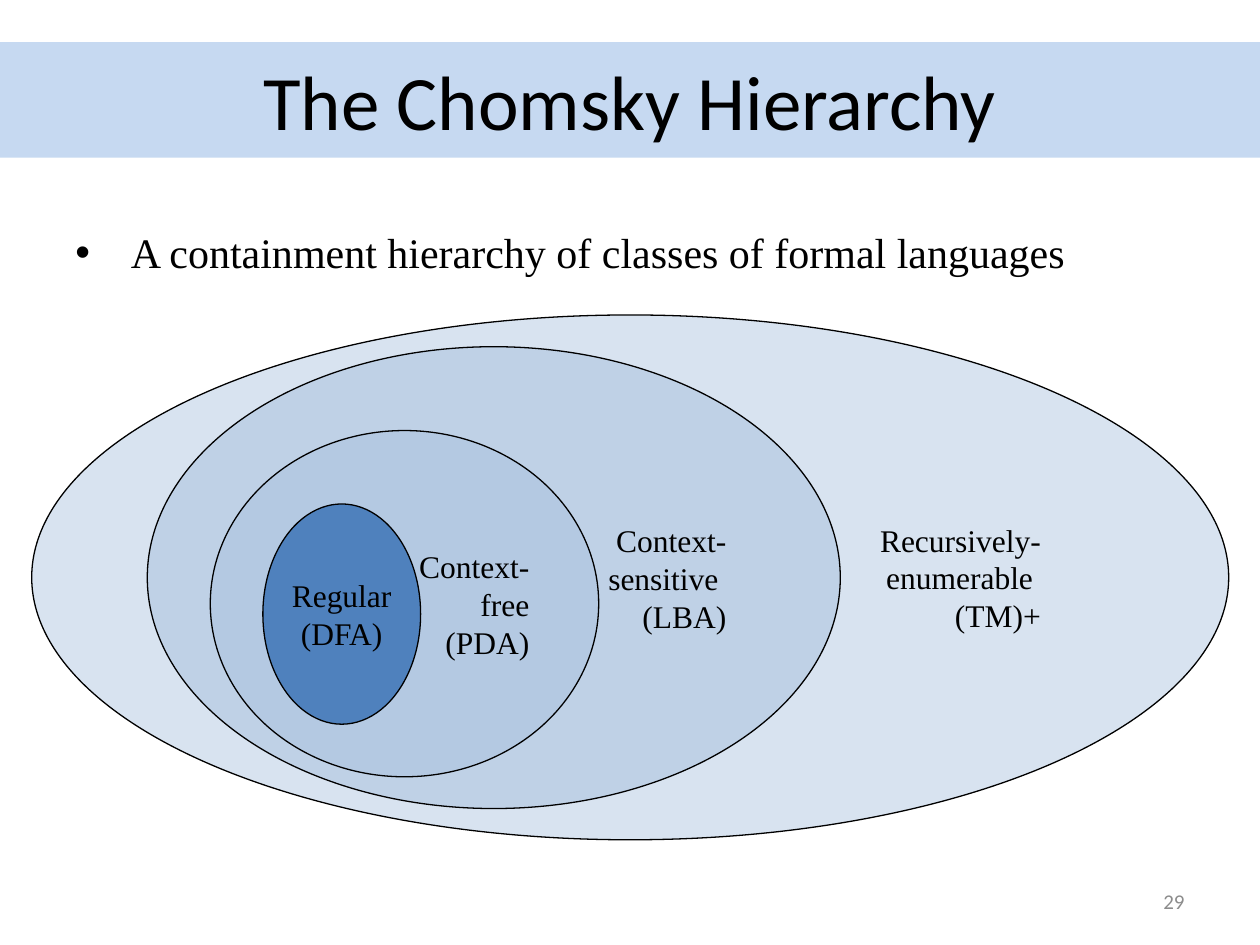
from lxml import etree
from pptx import Presentation
from pptx.dml.color import RGBColor
from pptx.enum.shapes import MSO_SHAPE
from pptx.enum.text import MSO_ANCHOR, PP_ALIGN
from pptx.oxml.ns import qn
from pptx.util import Cm, Pt

OVAL = MSO_SHAPE.OVAL
MIDDLE, TOP = MSO_ANCHOR.MIDDLE, MSO_ANCHOR.TOP
LEFT, CENTER, RIGHT = PP_ALIGN.LEFT, PP_ALIGN.CENTER, PP_ALIGN.RIGHT
SERIF, SANS = "Times New Roman", "Calibri"


def rgb(color):
    return RGBColor.from_string(color)


def fill_solid(sp, color, opacity=100):
    sp.fill.solid()
    sp.fill.fore_color.rgb = rgb(color)
    if opacity < 100:
        clr = sp.fill._xPr.find(qn("a:solidFill"))[0]
        etree.SubElement(clr, qn("a:alpha"), val=str(opacity * 1000))


def write(sp, text, size, font, align, anchor=MIDDLE, color="000000", wrap=True):
    tf = sp.text_frame
    tf.text = text
    tf.word_wrap = wrap
    tf.vertical_anchor = anchor
    for p in tf.paragraphs:
        p.alignment = align
        for r in p.runs:
            r.font.size = Pt(size)
            r.font.name = font
            r.font.color.rgb = rgb(color)
    return tf


def add_title(s, box, text):
    sp = s.shapes.title
    sp.left, sp.top, sp.width, sp.height = (Cm(v) for v in box)
    fill_solid(sp, "C6D9F1")
    write(sp, text, 44, SANS, CENTER)


def add_bullet(s, box, text):
    sp = s.shapes.add_textbox(*(Cm(v) for v in box))
    p = write(sp, text, 24, SERIF, LEFT, TOP).paragraphs[0]
    p.space_before = Pt(4.8)
    pPr = p._p.get_or_add_pPr()
    pPr.set("marL", str(Cm(1.12)))
    pPr.set("indent", str(-Cm(1.12)))
    etree.SubElement(pPr, qn("a:buFont"), typeface="Arial")
    etree.SubElement(pPr, qn("a:buChar"), char="•")


def add_hierarchy(s, box, classes):
    """Nested ellipses, outermost first, offset from the corner of the box."""
    left, top = box
    for dx, dy, width, height, opacity, align, text in classes:
        sp = s.shapes.add_shape(OVAL, Cm(left + dx), Cm(top + dy), Cm(width), Cm(height))
        sp.shadow.inherit = False
        fill_solid(sp, "4F81BD", opacity)
        sp.line.color.rgb = rgb("000000")
        sp.line.width = Pt(0.75)
        write(sp, text, 18, SERIF, align, wrap=False)


def add_page_number(s, box, number):
    sp = s.shapes.add_textbox(*(Cm(v) for v in box))
    write(sp, number, 12, SANS, RIGHT, color="8C8C8C")


# dx, dy, width, height, opacity, alignment, label
CLASSES = [
    (0, 0, 24.13, 10.58, 22, RIGHT, "Recursively-\venumerable \v(TM)+"),
    (2.33, 0.64, 13.97, 9.31, 18, RIGHT, "Context-\vsensitive \v(LBA)"),
    (3.6, 2.33, 7.83, 6.98, 9, RIGHT, "Context-\vfree\n(PDA)"),
    (4.66, 3.81, 3.18, 4.44, 100, CENTER, "Regular\n(DFA)"),
]

prs = Presentation()
prs.slide_width, prs.slide_height = Cm(25.4), Cm(19.05)
s = prs.slides.add_slide(prs.slide_layouts[5])

add_title(s, (0, 0.85, 25.4, 2.33), "The Chomsky Hierarchy")
add_bullet(s, (1.27, 4.45, 22.86, 1.5),
           "A containment hierarchy of classes of formal languages")
add_hierarchy(s, (0.64, 6.35), CLASSES)
add_page_number(s, (18.2, 17.66, 5.93, 1.01), "29")

prs.save("out.pptx")
